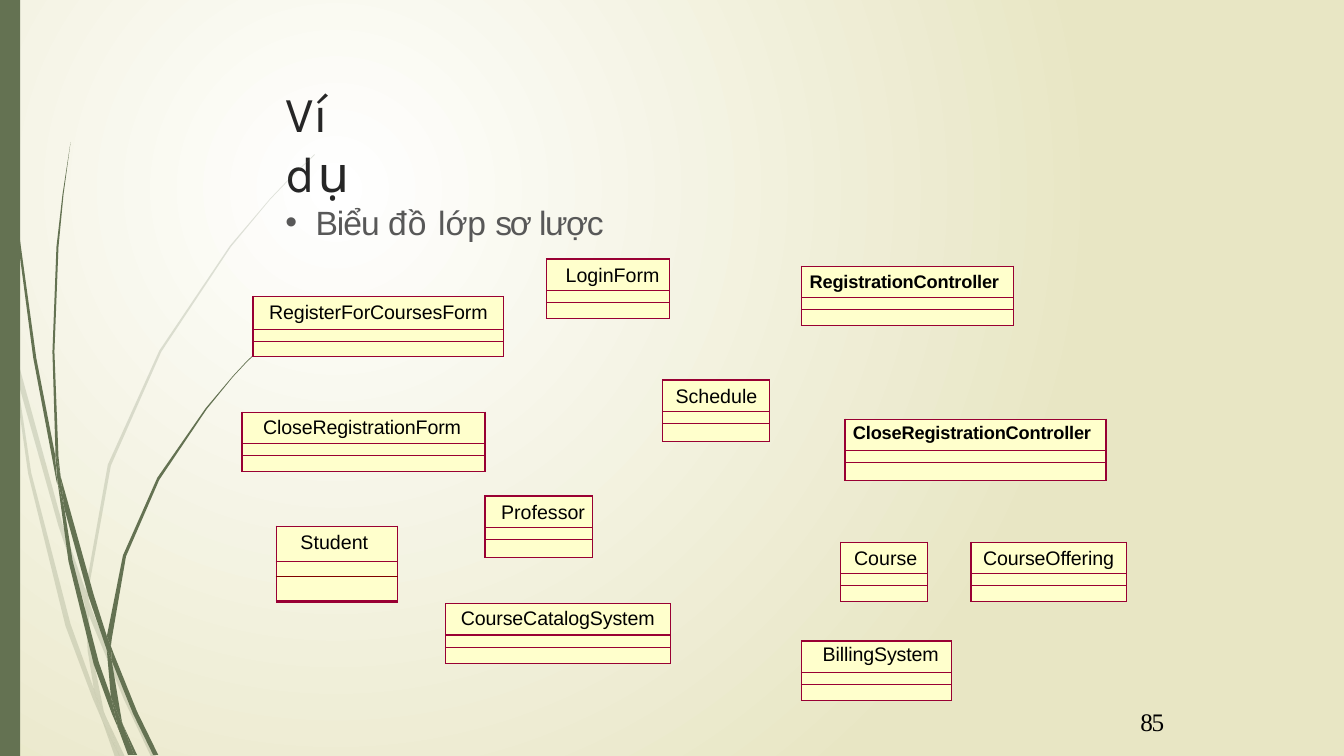
from lxml.etree import SubElement
from pptx import Presentation
from pptx.dml.color import RGBColor
from pptx.enum.shapes import MSO_SHAPE as Shape
from pptx.enum.text import MSO_ANCHOR as Anchor, MSO_AUTO_SIZE as AutoSize, PP_ALIGN as Align
from pptx.oxml.ns import qn
from pptx.util import Inches, Pt

WHITE = RGBColor(0xFF, 0xFF, 0xFF)
SAND = RGBColor(0xE8, 0xE6, 0xC4)
MOSS = RGBColor(0x64, 0x72, 0x52)
INK = RGBColor(0x26, 0x26, 0x26)
GREY = RGBColor(0x58, 0x58, 0x58)
BLACK = RGBColor(0, 0, 0)
CREAM = RGBColor(0xFF, 0xFF, 0xCC)
WINE = RGBColor(0x99, 0x00, 0x33)
MAROON = RGBColor(0x80, 0x00, 0x00)

PALE_STEMS = (
    "0.11,3.5 0.09,3.22 0,2.82 0,2.99 0.1,3.44",
    "0.58,5.22 0.84,5.99 0.85,5.86 0.62,5.2 0.14,3.45 0.17,3.76",
    "0.92,6.07 0.88,5.96 0.88,6.1 1.23,6.94 1.5,7.51 1.55,7.51 1.27,6.92",
    "1.19,7.51 1.24,7.51 1.05,7.11",
    "0.93,6.83 0.7,6.19 0.31,4.69 0.17,3.76 0.11,3.5 0.28,4.7 0.65,6.21 0.92,6.93 1.01,7.14 0.99,7.07",
    "0.84,5.99 0.87,6.46 0.93,6.83 0.96,6.92 1.05,7.11 1.03,7.06 0.91,6.46 0.88,6.1 0.88,6.08",
    "0.88,5.84 1.1,4.62 1.6,3.49 2.29,2.45 2.68,1.98 2.9,1.75 3.12,1.54 3.12,1.53 2.89,1.75 2.68,1.97 "
    "2.28,2.44 1.58,3.48 1.07,4.61 0.85,5.84 0.85,5.86 0.88,5.96",
    "1.01,7.14 1.14,7.51 1.19,7.51",
    "0.88,6.08 0.88,6.1 0.88,5.96 0.85,5.86 0.84,5.99",
    "0.96,6.92 0.93,6.83 0.99,7.07 1.01,7.14 1.19,7.51 1.05,7.11",
)
DARK_STEMS = (
    "0.07,1.1 0.17,2.33 0.33,3.55 0.56,4.77 0.57,4.81 0.55,4.57 0.55,4.53 0.36,3.55 0.19,2.32 0.08,1.09 "
    "0.05,0.48 0.04,0 0.03,0 0.04,0.48",
    "0.88,5.92 1.06,6.45 1.06,6.33 1.06,6.31 0.93,5.9 0.6,4.72 0.64,5.05",
    "1.13,6.49 1.1,6.41 1.11,6.56 1.32,7.08 1.52,7.49 1.57,7.49 1.36,7.06",
    "1.1,6.91 0.98,6.57 0.72,5.56 0.64,5.05 0.57,4.77 0.68,5.57 0.93,6.59 1.11,7.08 1.17,7.22 1.16,7.17",
    "0.6,4.72 0.58,4.53 0.54,3.49 0.58,2.45 0.63,1.93 0.7,1.41 0.62,1.93 0.56,2.45 0.52,3.49 0.55,4.49",
    "1.33,7.49 1.36,7.49 1.22,7.19",
    "0.57,4.77 0.64,5.05 0.6,4.72 0.55,4.49 0.55,4.53",
    "1.11,6.33 1.25,5.52 1.58,4.76 2.05,4.06 2.31,3.74 2.45,3.59 2.61,3.44 2.6,3.44 2.45,3.58 2.31,3.73 "
    "2.04,4.05 1.56,4.74 1.22,5.51 1.06,6.31 1.1,6.41",
    "1.17,7.22 1.27,7.49 1.31,7.49",
    "1.06,6.45 1.1,6.91 1.16,7.06 1.22,7.19 1.21,7.16 1.11,6.56 1.09,6.51",
    "1.06,6.45 1.09,6.51 1.11,6.56 1.1,6.41 1.06,6.31 1.06,6.33",
    "1.16,7.06 1.1,6.91 1.16,7.17 1.17,7.22 1.3,7.49 1.33,7.49 1.22,7.19",
)

FORM_ROWS = (0.31, 0.12, 0.16)
TALL_ROWS = (0.31, 0.12, 0.18)
CLASSES = (
    ("CloseRegistrationForm", 2.4, 4.09, 2.41, FORM_ROWS, 0.21, 2.9),
    ("LoginForm", 5.42, 2.57, 1.22, FORM_ROWS, 0.19, 3.9),
    ("Professor", 4.81, 4.92, 1.07, TALL_ROWS, 0.16, 3.9),
    ("BillingSystem", 7.95, 6.36, 1.49, FORM_ROWS, 0.21, 1.6),
    ("CloseRegistrationController", 8.38, 4.16, 2.59, TALL_ROWS, 0.08, 2.9),
    ("RegisterForCoursesForm", 2.51, 2.94, 2.48, (0.33, 0.12, 0.15), 0.16, 3.9),
    ("Course", 8.34, 5.38, 0.86, FORM_ROWS, 0.13, 3.9),
    ("CourseCatalogSystem", 4.42, 5.99, 2.23, FORM_ROWS, 0.15, 2.9),
    ("Student", 2.74, 5.22, 1.2, (0.35, 0.15, 0.25), 0.24, 3.9),
    ("RegistrationController", 7.95, 2.64, 2.1, FORM_ROWS, 0.08, 4),
    ("CourseOffering", 9.63, 5.38, 1.54, FORM_ROWS, 0.12, 3.9),
    ("Schedule", 6.57, 3.77, 1.06, TALL_ROWS, 0.13, 4),
)


class ClassDiagram:
    def __init__(self, presentation):
        self.slide = presentation.slides.add_slide(presentation.slide_layouts[5])
        self.shapes = self.slide.shapes

    def background(self):
        fill = self.slide.background.fill
        fill.gradient()
        for stop, color, position in zip(fill.gradient_stops, (WHITE, SAND), (0, 1)):
            stop.color.rgb = color
            stop.position = position
        gradient = self.slide.element.find(".//" + qn("a:gradFill"))
        gradient.remove(gradient.find(qn("a:lin")))
        circle = SubElement(gradient, qn("a:path"), path="circle")
        SubElement(circle, qn("a:fillToRect"), l="50000", t="50000", r="100000", b="100000")

    def paint(self, shape, color, opacity=100):
        shape.shadow.inherit = False
        shape.fill.solid()
        shape.fill.fore_color.rgb = color
        shape.line.fill.background()
        if opacity < 100:
            color_element = shape.element.spPr.find(".//" + qn("a:srgbClr"))
            SubElement(color_element, qn("a:alpha"), val=str(opacity * 1000))

    def stem(self, outline, opacity):
        points = [tuple(Inches(float(n)) for n in pair.split(",")) for pair in outline.split()]
        builder = self.shapes.build_freeform(*points[0])
        builder.add_line_segments(points[1:], close=True)
        self.paint(builder.convert_to_shape(), MOSS, opacity)

    def bar(self, left, top, width, height):
        bounds = [Inches(n) for n in (left, top, width, height)]
        self.paint(self.shapes.add_shape(Shape.RECTANGLE, *bounds), MOSS)

    def add_runs(self, paragraph, runs, font, size, color, indent, before, bold=False):
        paragraph.alignment = Align.LEFT
        paragraph.space_before = Pt(before)
        properties = paragraph._p.get_or_add_pPr()
        properties.set("marL", str(Inches(indent)))
        properties.set("indent", "0")
        for text, spacing in runs:
            run = paragraph.add_run()
            run.text = text
            run.font.name, run.font.size, run.font.bold = font, Pt(size), bold
            run.font.color.rgb = color
            run._r.get_or_add_rPr().set("spc", str(round(spacing * 100)))
        return properties

    def text(self, bounds, runs, font, size, color, indent, before, shape=None):
        bounds = [Inches(n) for n in bounds]
        shape = shape or self.shapes.add_textbox(*bounds)
        shape.left, shape.top, shape.width, shape.height = bounds
        frame = shape.text_frame
        frame.word_wrap = True
        frame.auto_size = AutoSize.SHAPE_TO_FIT_TEXT
        frame.vertical_anchor = Anchor.TOP
        frame.margin_left = frame.margin_right = frame.margin_bottom = 0
        frame.margin_top = Inches(0.01)
        return self.add_runs(frame.paragraphs[0], runs, font, size, color, indent, before)

    def bullet(self, *arguments):
        properties = self.text(*arguments)
        properties.set("indent", str(Inches(-0.3)))
        SubElement(properties, qn("a:buFont"), typeface="Arial")
        SubElement(properties, qn("a:buChar"), char="•")

    def border(self, cell, side, color, width):
        line = SubElement(cell._tc.get_or_add_tcPr(), qn("a:ln" + side), w=str(Pt(width)))
        SubElement(SubElement(line, qn("a:solidFill")), qn("a:srgbClr"), val=str(color))

    def class_box(self, name, left, top, width, rows, indent, drop):
        bounds = [Inches(n) for n in (left, top, width, sum(rows))]
        table = self.shapes.add_table(len(rows), 1, *bounds).table
        table.first_row = table.horz_banding = False
        for index, height in enumerate(rows):
            table.rows[index].height = Inches(height)
            cell = table.cell(index, 0)
            cell.margin_left = cell.margin_right = cell.margin_top = cell.margin_bottom = 0
            edges = {side: (WINE, 1) for side in "LRTB"}
            if name == "Student" and index:
                edges["T" if index == 2 else "B"] = (MAROON, 0.75)
                if index == 2:
                    edges["B"] = (WINE, 2.25)
            for side, (color, weight) in edges.items():
                self.border(cell, side, color, weight)
            cell.fill.solid()
            cell.fill.fore_color.rgb = CREAM
            paragraph = cell.text_frame.paragraphs[0]
            if index:
                paragraph._p.get_or_add_endParaRPr().set("sz", "600")
            else:
                cell.margin_top = Pt(drop)
                bold = name.endswith("Controller")
                spacing = -0.1 if len(name) > 10 else 0
                self.add_runs(paragraph, [(name, spacing)], "Arial", 13 if bold else 14, BLACK, indent, drop, bold)


def main():
    presentation = Presentation()
    presentation.slide_width, presentation.slide_height = Inches(13.33), Inches(7.5)
    diagram = ClassDiagram(presentation)
    diagram.background()
    for stems, opacity in ((PALE_STEMS, 20), (DARK_STEMS, 100)):
        for outline in stems:
            diagram.stem(outline, opacity)
    diagram.bar(0, 0, 0.2, 7.5)
    body = [("Biểu ", -0.7), ("đồ ", 0.8), ("lớp ", -0.1), ("sơ ", -1.6), ("lược", -1)]
    diagram.bullet((2.82, 1.99, 3.17, 0.43), body, "Arial", 24, GREY, 0.31, 1)
    diagram.text((11.27, 7, 0.31, 0.31), [("85", -0.9)], "Times New Roman", 18, BLACK, 0.04, 0.5)
    diagram.text((2.82, 0.8, 1.19, 0.62), [("Ví ", 0.2), ("dụ", 1.9)], "Karla", 36, INK, 0.01, 1.1,
                 diagram.shapes.title)
    for class_details in CLASSES:
        diagram.class_box(*class_details)
    presentation.save("out.pptx")


if __name__ == "__main__":
    main()
